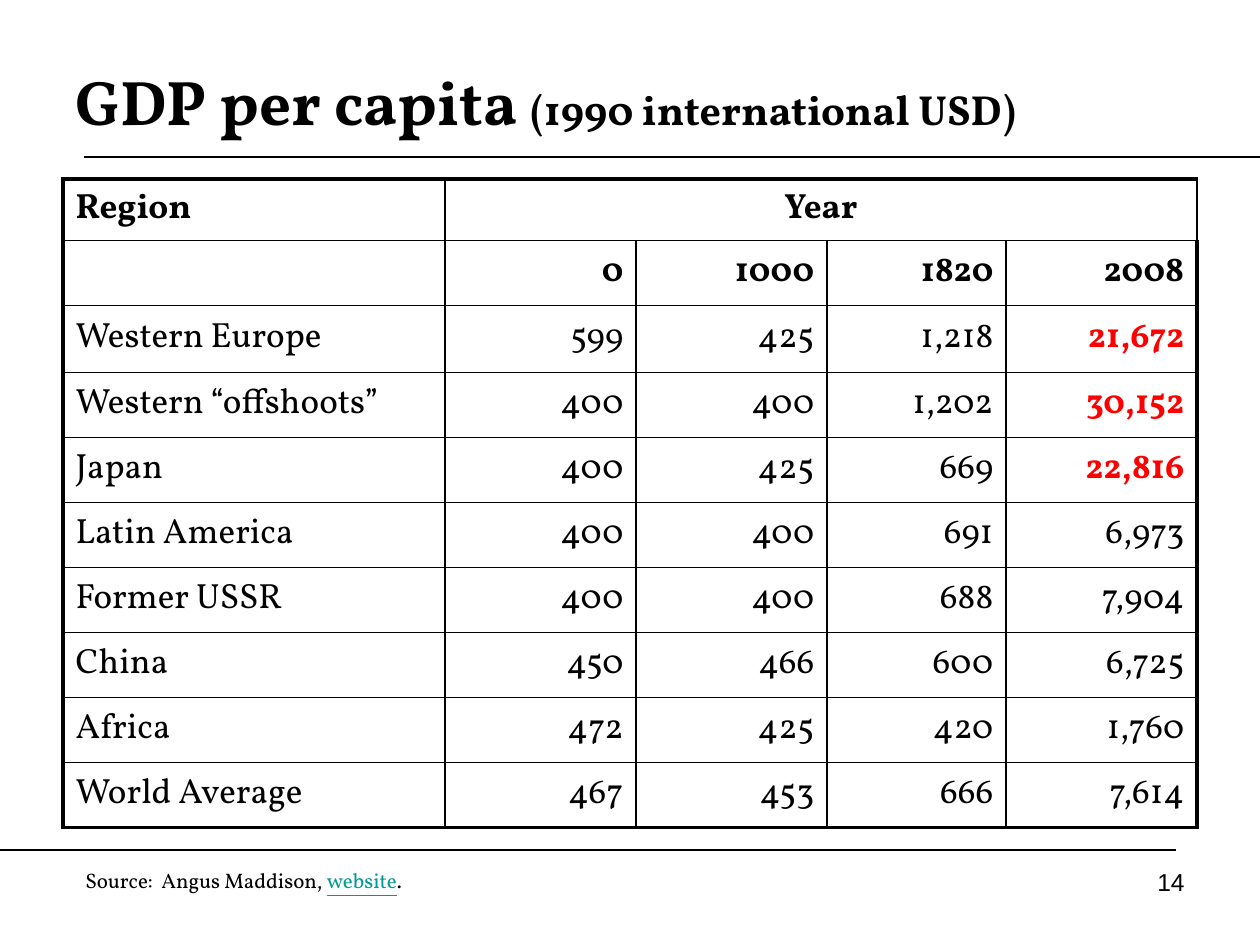
from dataclasses import dataclass

from lxml.etree import SubElement
from pptx import Presentation
from pptx.dml.color import RGBColor
from pptx.enum.text import MSO_ANCHOR, PP_ALIGN
from pptx.oxml.ns import qn
from pptx.util import Emu, Pt

TITLE = [("GDP per capita ", {"size": 36}), ("(1990 international USD)", {"size": 24})]
YEARS = ["0", "1000", "1820", "2008"]
DATA = [
    ("Western Europe", "599", "425", "1,218", "21,672"),
    ("Western “offshoots”", "400", "400", "1,202", "30,152"),
    ("Japan", "400", "425", "669", "22,816"),
    ("Latin America", "400", "400", "691", "6,973"),
    ("Former USSR", "400", "400", "688", "7,904"),
    ("China", "450", "466", "600", "6,725"),
    ("Africa", "472", "425", "420", "1,760"),
    ("World Average", "467", "453", "666", "7,614"),
]
RICH = {"Western Europe", "Western “offshoots”", "Japan"}
ROWS = [("Region", "Year", "", "", ""), ("", *YEARS), *DATA]
HEADS = 2
WIDTHS = [382, 191, 191, 179, 191]
HEIGHTS = [54, 65, 67] + [65] * (len(ROWS) - 3)
PAGE = "14"


@dataclass
class Theme:
    ink: str = "000000"
    red: str = "FF0000"
    link: str = "009999"
    serif: str = "Vollkorn"
    sans: str = "Arial"
    cell: int = 20
    note: int = 12
    page: int = 14
    thin: float = 1
    thick: float = 2.25
    rule: float = 0.75


THEME = Theme()


def px(n):
    return Emu(round(n * 914400 / 126))


def write(frame, parts, align=PP_ALIGN.LEFT, anchor=MSO_ANCHOR.MIDDLE, **base):
    """Fill the first paragraph with (text, format) parts over a base format."""
    frame.word_wrap = True
    frame.vertical_anchor = anchor
    para = frame.paragraphs[0]
    para.alignment = align
    for text, extra in parts:
        form = {"font": THEME.serif, "color": THEME.ink, "bold": False,
                "line": False, **base, **extra}
        run = para.add_run()
        run.text = text
        run.font.name = form["font"]
        run.font.size = Pt(form["size"])
        run.font.bold = form["bold"]
        run.font.underline = form["line"]
        run.font.color.rgb = RGBColor.from_string(form["color"])


def add_text(slide, box, parts, **form):
    shape = slide.shapes.add_textbox(*map(px, box))
    write(shape.text_frame, parts, anchor=MSO_ANCHOR.TOP, **form)


def add_rule(slide, left, right, y):
    rule = slide.shapes.add_connector(1, px(left), px(y), px(right), px(y))
    rule.line.color.rgb = RGBColor.from_string(THEME.ink)
    rule.line.width = Pt(THEME.rule)
    SubElement(rule._element.spPr, qn("a:effectLst"))


def edge(cell, side, width):
    line = SubElement(cell._tc.get_or_add_tcPr(), qn("a:ln" + side), w=str(Pt(width)))
    fill = SubElement(line, qn("a:solidFill"))
    SubElement(fill, qn("a:srgbClr"), val=THEME.ink)


def add_grid(slide):
    rows, cols = len(ROWS), len(WIDTHS)
    grid = slide.shapes.add_table(rows, cols, px(63), px(179),
                                  px(sum(WIDTHS)), px(sum(HEIGHTS))).table
    grid.first_row = grid.horz_banding = False
    for col, width in zip(grid.columns, WIDTHS):
        col.width = px(width)
    for row, height in zip(grid.rows, HEIGHTS):
        row.height = px(height)
    grid.cell(0, 1).merge(grid.cell(0, cols - 1))
    for r, row in enumerate(ROWS):
        for c, text in enumerate(row):
            cell = grid.cell(r, c)
            outer = {"L": c == 0, "R": c == cols - 1, "T": r == 0, "B": r == rows - 1}
            for side, thick in outer.items():
                edge(cell, side, THEME.thick if thick else THEME.thin)
            cell.fill.background()
            cell.vertical_anchor = MSO_ANCHOR.MIDDLE
            if not text:
                continue
            hot = c == cols - 1 and row[0] in RICH
            align = (PP_ALIGN.LEFT if c == 0 else
                     PP_ALIGN.CENTER if r == 0 else PP_ALIGN.RIGHT)
            write(cell.text_frame, [(text, {})], align, size=THEME.cell,
                  bold=r < HEADS or hot, color=THEME.red if hot else THEME.ink)


def main():
    deck = Presentation()
    deck.slide_width, deck.slide_height = px(1260), px(945)
    slide = deck.slides.add_slide(deck.slide_layouts[5])
    add_rule(slide, 84, 1260, 157)
    add_rule(slide, 0, 1176, 850)
    title = slide.shapes.title
    title.left, title.top, title.width, title.height = map(px, (63, 42, 1134, 116))
    write(title.text_frame, TITLE, bold=True)
    add_grid(slide)
    source = [("Source:  Angus Maddison, ", {}),
              ("website", {"color": THEME.link, "line": True}), (".", {})]
    add_text(slide, (73, 861, 609, 38), source, size=THEME.note)
    add_text(slide, (903, 861, 294, 65), [(PAGE, {})], align=PP_ALIGN.RIGHT,
             size=THEME.page, font=THEME.sans)
    deck.save("out.pptx")


if __name__ == "__main__":
    main()
